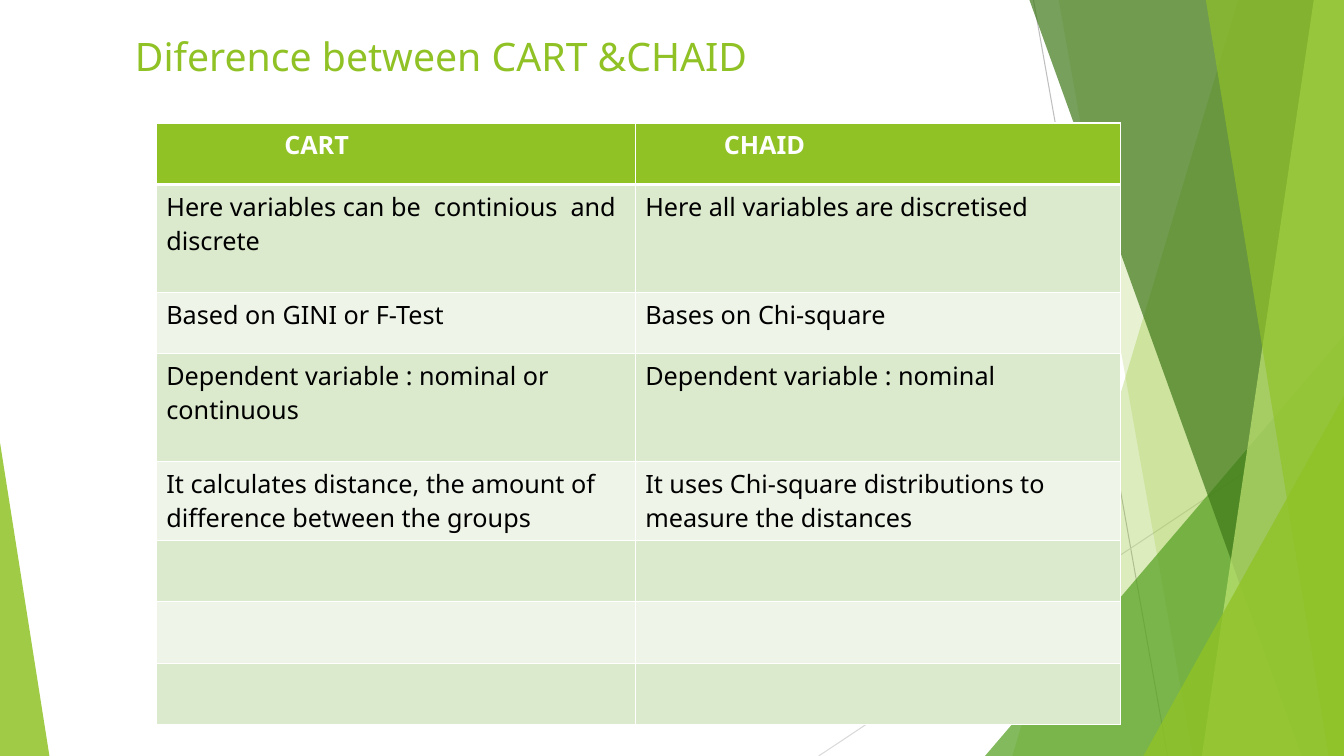
"""Build the slide that compares CART and CHAID in a table."""
from lxml import etree
from pptx import Presentation
from pptx.dml.color import RGBColor
from pptx.enum.shapes import MSO_CONNECTOR, MSO_SHAPE
from pptx.oxml.ns import qn
from pptx.util import Inches, Pt

STRAIGHT = MSO_CONNECTOR.STRAIGHT
TRIANGLE = MSO_SHAPE.ISOSCELES_TRIANGLE
FONT = "Noto Sans"
WHITE = RGBColor(0xFF, 0xFF, 0xFF)
BLACK = RGBColor(0x00, 0x00, 0x00)
GREEN = RGBColor(0x90, 0xC2, 0x26)
MID_GREEN = RGBColor(0x54, 0xA0, 0x21)
DARK_GREEN = RGBColor(0x3F, 0x78, 0x19)
LIME = RGBColor(0xC0, 0xE4, 0x74)
BAND_DARK = RGBColor(0xDB, 0xE9, 0xCD)
BAND_LIGHT = RGBColor(0xEE, 0xF4, 0xE8)
GRAY = RGBColor(0xBF, 0xBF, 0xBF)
LIGHT_GRAY = RGBColor(0xD9, 0xD9, 0xD9)
WIDTH, HEIGHT = 13.33, 7.5


def set_borders(cell, bottom_width):
    """Draw white lines on all four sides of a cell."""
    properties = cell._tc.get_or_add_tcPr()
    for side, width in (("L", 1), ("R", 1), ("T", 1), ("B", bottom_width)):
        line = etree.SubElement(properties, qn(f"a:ln{side}"), w=str(Pt(width)))
        fill = etree.SubElement(line, qn("a:solidFill"))
        etree.SubElement(fill, qn("a:srgbClr"), val=str(WHITE))


deck = Presentation()
deck.slide_width = Inches(WIDTH)
deck.slide_height = Inches(HEIGHT)
page = deck.slides.add_slide(deck.slide_layouts[6])

for start_x, start_y, end_x, color in (
    (10.25, 0, 11.58, GRAY),
    (WIDTH, 4.03, 8.12, LIGHT_GRAY),
):
    ray = page.shapes.add_connector(
        STRAIGHT, Inches(start_x), Inches(start_y), Inches(end_x), Inches(HEIGHT)
    )
    ray.line.color.rgb = color
    ray.line.width = Pt(0.75)
    etree.SubElement(ray._element.spPr, qn("a:effectLst"))

# Each facet is kind, first x, second x or top, peak, colour, opacity.
facets = (
    ("band", 12.28, 10.04, GREEN, 30),
    ("band", 10.5, 11.83, GREEN, 20),
    ("triangle", (9.77, 3.33, 3.56), 1, MID_GREEN, 72),
    ("band", 10.21, 12.91, DARK_GREEN, 70),
    ("band", 13.03, 11.92, LIME, 70),
    ("band", 11.96, 13.18, GREEN, 65),
    ("triangle", (11.34, 3.93, 1.99), 1, GREEN, 80),
    ("triangle", (0, 4.39, 0.49), 0, GREEN, 85),
)
for kind, place, end, color, opacity in facets:
    if kind == "band":
        corners = ((WIDTH, 0), (WIDTH, HEIGHT), (end, HEIGHT))
        builder = page.shapes.build_freeform(Inches(place), 0)
        builder.add_line_segments([(Inches(x), Inches(y)) for x, y in corners])
        facet = builder.convert_to_shape()
    else:
        left, top, width = place
        facet = page.shapes.add_shape(
            TRIANGLE, Inches(left), Inches(top), Inches(width), Inches(HEIGHT - top)
        )
        facet.adjustments[0] = end
    facet.shadow.inherit = False
    facet.line.fill.background()
    facet.fill.solid()
    facet.fill.fore_color.rgb = color
    tint = facet._element.spPr.find(qn("a:solidFill"))[0]
    etree.SubElement(tint, qn("a:alpha"), val=str(opacity * 1000))

rows = (
    ("CART", "CHAID"),
    ("Here variables can be  continious  and discrete", "Here all variables are discretised"),
    ("Based on GINI or F-Test", "Bases on Chi-square"),
    ("Dependent variable : nominal or continuous", "Dependent variable : nominal"),
    (
        "It calculates distance, the amount of difference between the groups",
        "It uses Chi-square distributions to measure the distances",
    ),
    ("", ""),
    ("", ""),
    ("", ""),
)
row_heights = (0.61, 1.07, 0.61, 1.07, 0.78, 0.61, 0.61, 0.61)
column_widths = (4.75, 4.81)
header_margins = (1.27, 0.88)

table = page.shapes.add_table(
    len(rows), len(column_widths), Inches(1.55), Inches(1.22),
    Inches(sum(column_widths)), Inches(sum(row_heights)),
).table
for column, width in zip(table.columns, column_widths):
    column.width = Inches(width)
for row_index, (texts, height) in enumerate(zip(rows, row_heights)):
    is_header = row_index == 0
    band = BAND_DARK if row_index % 2 else BAND_LIGHT
    table.rows[row_index].height = Inches(height)
    for column_index, text in enumerate(texts):
        cell = table.cell(row_index, column_index)
        set_borders(cell, 3 if is_header else 1)
        cell.fill.solid()
        cell.fill.fore_color.rgb = GREEN if is_header else band
        if is_header:
            cell.margin_left = Inches(header_margins[column_index])
        cell.text = text
        font = cell.text_frame.paragraphs[0].font
        font.name = FONT
        font.size = Pt(18)
        font.bold = is_header
        font.color.rgb = WHITE if is_header else BLACK

title = page.shapes.add_textbox(Inches(1.24), Inches(0.27), Inches(9.4), Inches(0.62))
title.text_frame.word_wrap = True
paragraph = title.text_frame.paragraphs[0]
paragraph.text = "Diference between CART &CHAID"
paragraph.font.name = FONT
paragraph.font.size = Pt(28)
paragraph.font.color.rgb = GREEN

deck.save("out.pptx")
